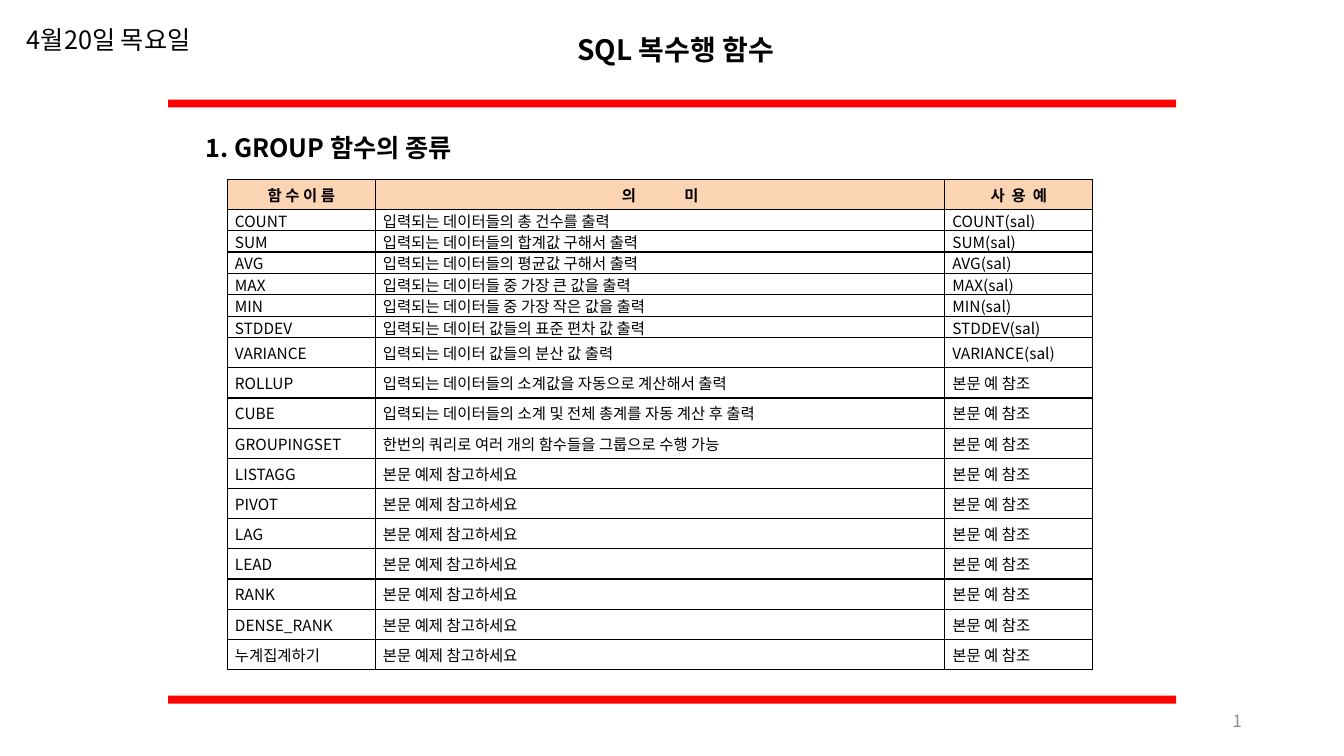
"""Build a slide that lists the SQL group functions."""
from lxml.etree import SubElement as Sub
from pptx import Presentation
from pptx.dml.color import RGBColor
from pptx.enum.shapes import MSO_SHAPE as Shape
from pptx.enum.text import MSO_ANCHOR as Anchor, PP_ALIGN as Align
from pptx.oxml.ns import qn
from pptx.util import Cm, Pt

FONT = "Noto Sans CJK KR"
SEE = "본문 예 참조"
MORE = "본문 예제 참고하세요"
HEAD = [("함 수 이 름", 0), ("의 미", 16), ("사 용 예", 1.25)]
SUMS = [
    ("COUNT", "입력되는 데이터들의 총 건수를 출력"),
    ("SUM", "입력되는 데이터들의 합계값 구해서 출력"),
    ("AVG", "입력되는 데이터들의 평균값 구해서 출력"),
    ("MAX", "입력되는 데이터들 중 가장 큰 값을 출력"),
    ("MIN", "입력되는 데이터들 중 가장 작은 값을 출력"),
    ("STDDEV", "입력되는 데이터 값들의 표준 편차 값 출력"),
    ("VARIANCE", "입력되는 데이터 값들의 분산 값 출력"),
]
SETS = [
    ("ROLLUP", "입력되는 데이터들의 소계값을 자동으로 계산해서 출력"),
    ("CUBE", "입력되는 데이터들의 소계 및 전체 총계를 자동 계산 후 출력"),
    ("GROUPINGSET", "한번의 쿼리로 여러 개의 함수들을 그룹으로 수행 가능"),
]
NAMES = ["LISTAGG", "PIVOT", "LAG", "LEAD", "RANK", "DENSE_RANK", "누계집계하기"]
ROWS = [(name, text, f"{name}(sal)") for name, text in SUMS]
ROWS += [(name, text, SEE) for name, text in SETS]
ROWS += [(name, MORE, SEE) for name in NAMES]
WIDTHS = [3.73, 14.35, 3.73]
HEIGHTS = [0.75] + [0.54] * 6 + [0.76] * 11


def paint(code):
    return RGBColor.from_string(code)


class Deck:
    """Hold the style and the current slide."""

    def __init__(self, show):
        self.slide = show.slides.add_slide(show.slide_layouts[6])
        self.ink, self.red, self.peach = "000000", "FF0000", "FBD4B4"

    def style(self, para, size, bold=False, color=None, align=Align.LEFT):
        para.alignment = align
        font = para.font
        font.name, font.size, font.bold = FONT, Pt(size), bold
        font.color.rgb = paint(color or self.ink)
        Sub(font._element, qn("a:ea"), typeface=FONT)

    def bar(self, top):
        bar = self.slide.shapes.add_shape(
            Shape.RECTANGLE, Cm(4.24), Cm(top), Cm(25.4), Cm(0.2))
        bar.shadow.inherit = False
        bar.fill.solid()
        bar.fill.fore_color.rgb = paint(self.red)
        bar.line.fill.background()

    def text(self, text, place, size, anchor=Anchor.MIDDLE, **look):
        box = self.slide.shapes.add_textbox(*map(Cm, place))
        frame = box.text_frame
        frame.word_wrap = True
        frame.vertical_anchor = anchor
        para = frame.paragraphs[0]
        para.add_run().text = text
        self.style(para, size, **look)

    def cell(self, cell, text, gap=0, head=False):
        cell.margin_left = cell.margin_right = Cm(0.19)
        cell.margin_top = cell.margin_bottom = 0
        cell.vertical_anchor = Anchor.MIDDLE
        para = cell.text_frame.paragraphs[0]
        for part in (text[:-1], text[-1]) if gap else (text,):
            para.add_run().text = part
        if gap:
            para.runs[0].font._element.set("spc", str(int(gap * 100)))
        align = Align.CENTER if head else Align.JUSTIFY
        self.style(para, 11, bold=head, align=align)
        props = cell._tc.get_or_add_tcPr()
        for side in ("lnL", "lnR", "lnT", "lnB"):
            line = Sub(props, qn(f"a:{side}"), w=str(Pt(1)))
            fill = Sub(line, qn("a:solidFill"))
            Sub(fill, qn("a:srgbClr"), val=self.ink)
        if head:
            cell.fill.solid()
            cell.fill.fore_color.rgb = paint(self.peach)
        else:
            cell.fill.background()

    def table(self, left, top):
        table = self.slide.shapes.add_table(
            len(HEIGHTS), len(WIDTHS), Cm(left), Cm(top),
            Cm(sum(WIDTHS)), Cm(sum(HEIGHTS))).table
        table.first_row = table.horz_banding = False
        for col, width in zip(table.columns, WIDTHS):
            col.width = Cm(width)
        for row, height in zip(table.rows, HEIGHTS):
            row.height = Cm(height)
        for col, (text, gap) in enumerate(HEAD):
            self.cell(table.cell(0, col), text, gap, head=True)
        for num, row in enumerate(ROWS, 1):
            for col, text in enumerate(row):
                self.cell(table.cell(num, col), text)


def main():
    show = Presentation()
    show.slide_width, show.slide_height = Cm(33.87), Cm(19.05)
    deck = Deck(show)
    deck.bar(2.51)
    deck.bar(17.53)
    deck.text("SQL 복수행 함수", (8.53, 0, 17, 2.51), 20,
              bold=True, align=Align.CENTER)
    deck.text("1", (23.93, 17.65, 7.62, 1.02), 12,
              color="8C8C8C", align=Align.RIGHT)
    deck.text("1. GROUP 함수의 종류", (4.93, 2.92, 11.91, 1.6), 18, bold=True)
    deck.table(5.73, 4.52)
    deck.text("4월20일 목요일", (0.43, 0.48, 6.48, 1.02), 18, anchor=Anchor.TOP)
    show.save("out.pptx")


if __name__ == "__main__":
    main()
